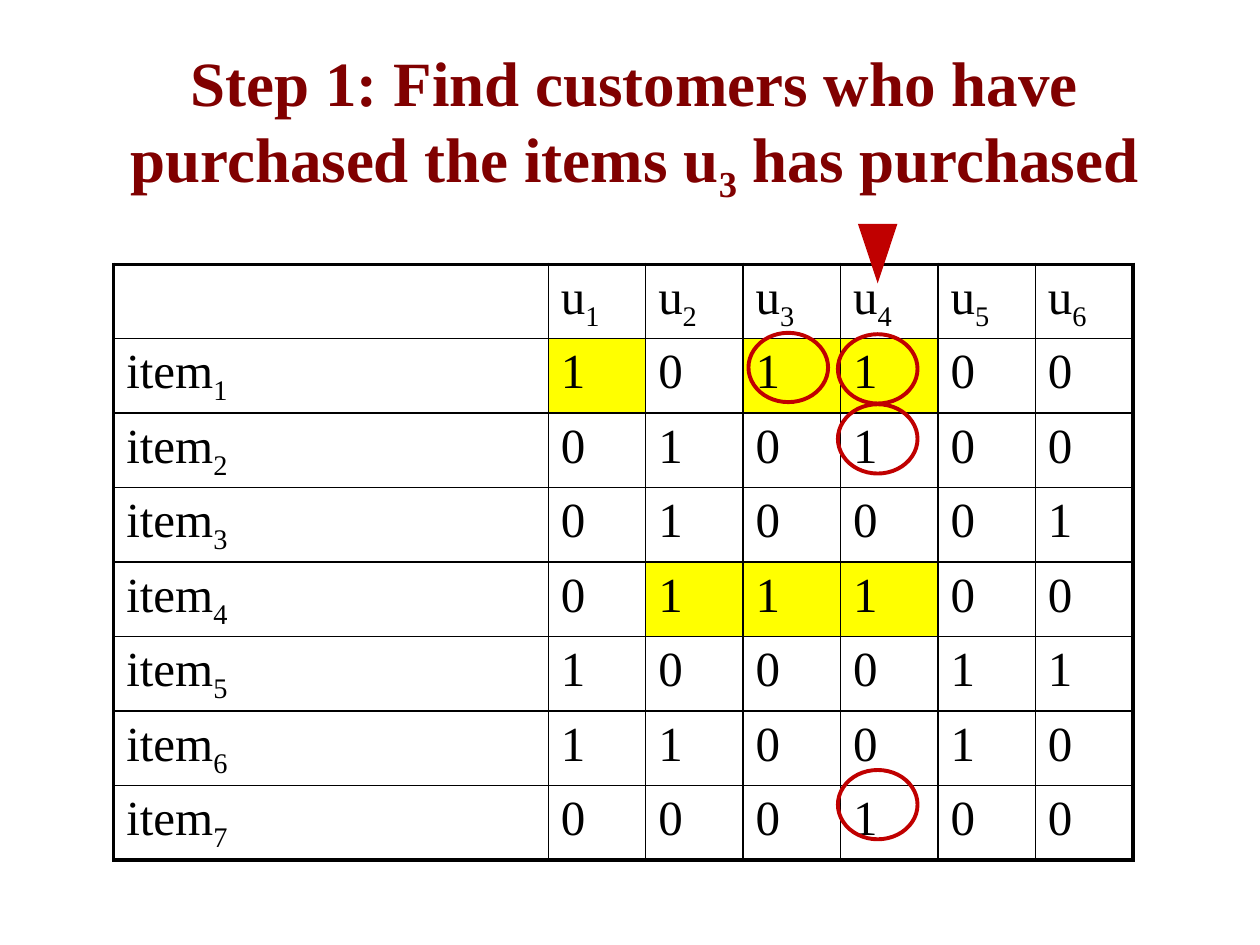
from dataclasses import dataclass

from lxml.etree import SubElement
from pptx import Presentation
from pptx.dml.color import RGBColor
from pptx.enum.shapes import MSO_SHAPE
from pptx.enum.text import MSO_ANCHOR, PP_ALIGN
from pptx.oxml.ns import qn
from pptx.util import Pt


@dataclass(frozen=True)
class Theme:
    font: str = "Times New Roman"
    title: str = "800000"
    text: str = "000000"
    highlight: str = "FFFF00"
    mark: str = "C00000"
    title_size: float = 36
    cell_size: float = 28
    thick: float = 2.25
    thin: float = 1


theme = Theme()


def add_run(p, text, size, color, bold=False, subscript=False):
    r = p.add_run()
    r.text = text
    r.font.name = theme.font
    r.font.size = Pt(size)
    r.font.bold = bold
    r.font.color.rgb = RGBColor.from_string(color)
    if subscript:
        r.font._element.set("baseline", "-25000")


def add_border(cell, side, width):
    ln = SubElement(cell._tc.get_or_add_tcPr(), qn(f"a:ln{side}"), w=str(Pt(width)))
    fill = SubElement(ln, qn("a:solidFill"))
    SubElement(fill, qn("a:srgbClr"), val=theme.text)


prs = Presentation()
prs.slide_width, prs.slide_height = Pt(720), Pt(540)
s = prs.slides.add_slide(prs.slide_layouts[6])

# Title
tf = s.shapes.add_textbox(Pt(19.5), Pt(26), Pt(686), Pt(90)).text_frame
tf.word_wrap = True
tf.vertical_anchor = MSO_ANCHOR.MIDDLE
p = tf.paragraphs[0]
p.alignment = PP_ALIGN.CENTER
for text, subscript in (
    ("Step 1: Find customers who have purchased the items u", False),
    ("3", True),
    (" has purchased", False),
):
    add_run(p, text, theme.title_size, theme.title, bold=True, subscript=subscript)

# Purchase matrix: one string per item, one digit per customer
purchases = ["101100", "010100", "010001", "011100", "100011", "110010", "000100"]
highlighted = {(1, 1), (1, 3), (1, 4), (4, 2), (4, 3), (4, 4)}
n_rows, n_cols = len(purchases) + 1, len(purchases[0]) + 1
left, top, item_width, user_width, row_height = 65, 151, 248.3, 55.7, 41

table = s.shapes.add_table(
    n_rows, n_cols, Pt(left), Pt(top),
    Pt(item_width + user_width * (n_cols - 1)), Pt(row_height * n_rows),
).table
table.first_row = table.horz_banding = False
for col, column in enumerate(table.columns):
    column.width = Pt(user_width if col else item_width)

for row in range(n_rows):
    table.rows[row].height = Pt(row_height)
    for col in range(n_cols):
        cell = table.cell(row, col)
        cell.margin_bottom = Pt(0.7)  # keeps subscripts from stretching the rows
        outer_edges = {
            "L": col == 0,
            "R": col == n_cols - 1,
            "T": row == 0,
            "B": row == n_rows - 1,
        }
        for side, outer in outer_edges.items():
            add_border(cell, side, theme.thick if outer else theme.thin)
        if (row, col) in highlighted:
            cell.fill.solid()
            cell.fill.fore_color.rgb = RGBColor.from_string(theme.highlight)
        else:
            cell.fill.background()

        p = cell.text_frame.paragraphs[0]
        if row and col:
            add_run(p, purchases[row - 1][col - 1], theme.cell_size, theme.text)
        elif row or col:
            add_run(p, "item" if row else "u", theme.cell_size, theme.text)
            add_run(p, str(row or col), theme.cell_size, theme.text, subscript=True)

# Pointer to the customer being checked
pointer = s.shapes.add_shape(
    MSO_SHAPE.ISOSCELES_TRIANGLE, Pt(490.3), Pt(128), Pt(22.5), Pt(34))
pointer.shadow.inherit = False
pointer._element.spPr.xfrm.set("flipV", "1")
pointer.fill.solid()
pointer.fill.fore_color.rgb = RGBColor.from_string(theme.mark)
pointer.line.fill.background()

# Rings around purchases
for x, y in ((478.8, 191), (427.7, 190.2), (478.8, 231), (478.8, 440)):
    ring = s.shapes.add_shape(MSO_SHAPE.OVAL, Pt(x), Pt(y), Pt(45.5), Pt(39.6))
    ring.shadow.inherit = False
    ring.fill.background()
    ring.line.color.rgb = RGBColor.from_string(theme.mark)
    ring.line.width = Pt(theme.thick)

prs.save("out.pptx")
